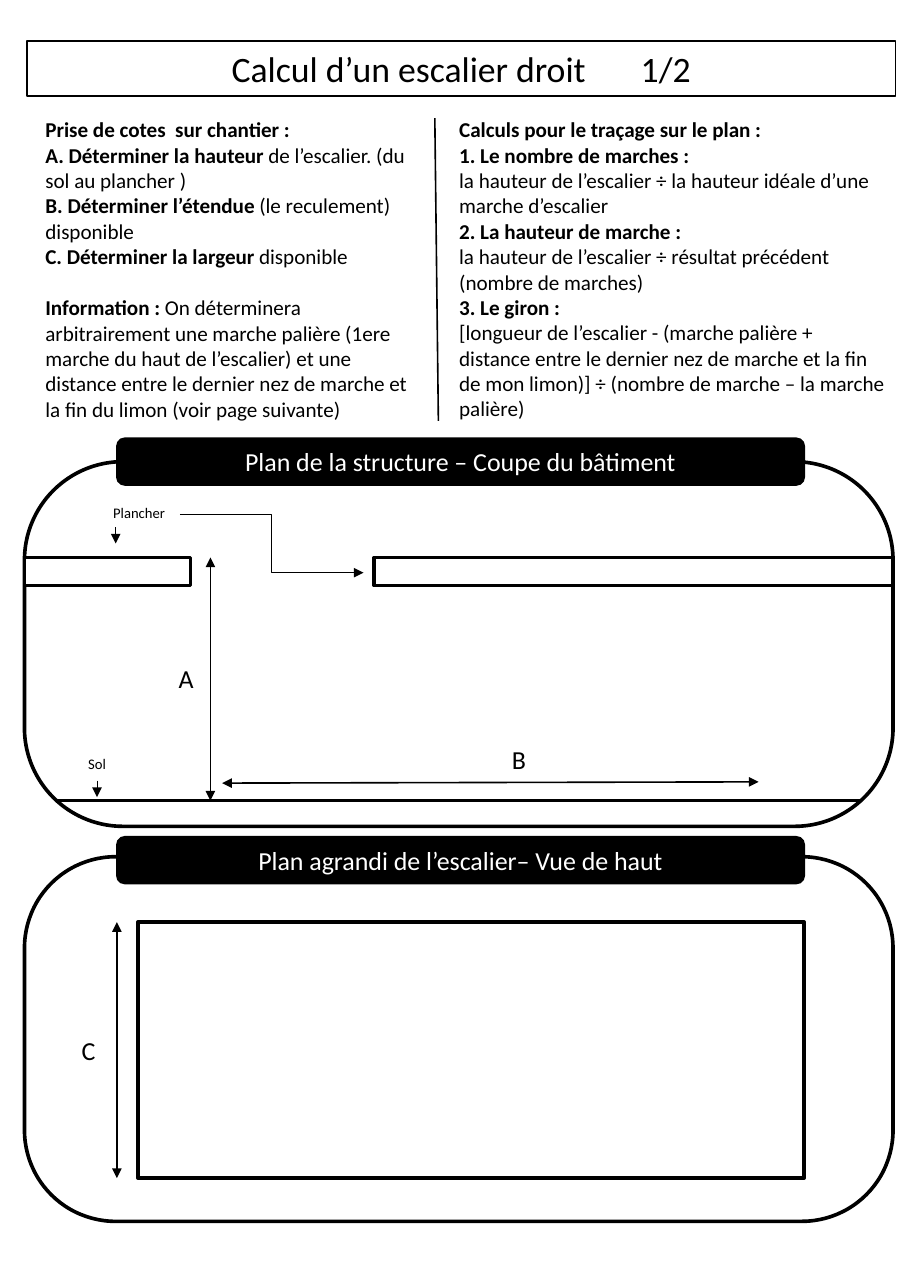
import dataclasses

import lxml.etree
import pptx
import pptx.dml.color
import pptx.enum.shapes
import pptx.enum.text
import pptx.oxml.ns
import pptx.util

PX = 9144
SHAPES = pptx.enum.shapes.MSO_SHAPE
CONNECTORS = pptx.enum.shapes.MSO_CONNECTOR
ALIGN = pptx.enum.text.PP_ALIGN
ANCHOR = pptx.enum.text.MSO_ANCHOR


@dataclasses.dataclass(frozen=True)
class Theme:
    font: str = "Calibri"
    ink: str = "000000"
    paper: str = "FFFFFF"
    title: int = 22
    heading: int = 16
    body: int = 13
    label: int = 9
    thick: float = 2.25
    thin: float = 1
    hair: float = 0.5


THEME = Theme()

SITE_NOTES = [
    ("Prise de cotes  sur chantier :", ""),
    ("A. Déterminer la hauteur ", "de l’escalier. (du sol au plancher )"),
    ("B. Déterminer l’étendue ", "(le reculement) disponible"),
    ("C. Déterminer la largeur ", "disponible"),
    ("Information : ", "On déterminera arbitrairement une marche palière (1ere marche du haut "
     "de l’escalier) et une distance entre le dernier nez de marche et la fin du limon "
     "(voir page suivante)"),
]
PLAN_NOTES = [
    ("Calculs pour le traçage sur le plan :", ""),
    ("1. Le nombre de marches :", ""),
    ("", "la hauteur de l’escalier ÷ la hauteur idéale d’une marche d’escalier"),
    ("2. La hauteur de marche :", ""),
    ("", "la hauteur de l’escalier ÷ résultat précédent (nombre de marches)"),
    ("3. Le giron :", ""),
    ("", "[longueur de l’escalier - (marche palière + distance entre le dernier nez de marche "
     "et la fin de mon limon)] ÷ (nombre de marche – la marche palière)"),
]


def px(*values):
    return [pptx.util.Emu(v * PX) for v in values]


def rgb(color):
    return pptx.dml.color.RGBColor.from_string(color)


def style_run(r, size, color=THEME.ink, bold=False):
    r.font.name = THEME.font
    r.font.size = pptx.util.Pt(size)
    r.font.color.rgb = rgb(color)
    r.font.bold = bold


def write(sp, text, size, color=THEME.ink, align=ALIGN.LEFT, anchor=ANCHOR.TOP):
    tf = sp.text_frame
    tf.word_wrap = True
    tf.vertical_anchor = anchor
    p = tf.paragraphs[0]
    p.text = text
    p.alignment = align
    for r in p.runs:
        style_run(r, size, color)
    return p


def add_label(s, box, text, size=THEME.heading, align=ALIGN.LEFT):
    write(s.shapes.add_textbox(*px(*box)), text, size, align=align)


def add_notes(s, box, notes):
    tf = s.shapes.add_textbox(*px(*box)).text_frame
    tf.word_wrap = True
    for i, parts in enumerate(notes):
        p = tf.add_paragraph() if i else tf.paragraphs[0]
        for text, bold in zip(parts, (True, False)):
            if text:
                r = p.add_run()
                r.text = text
                style_run(r, THEME.body, bold=bold)
    return tf


def add_box(s, box, kind=SHAPES.RECTANGLE, fill=THEME.paper, width=THEME.thick, corner=None):
    sp = s.shapes.add_shape(kind, *px(*box))
    sp.shadow.inherit = False
    sp.fill.solid()
    sp.fill.fore_color.rgb = rgb(fill)
    sp.line.color.rgb = rgb(THEME.ink)
    sp.line.width = pptx.util.Pt(width)
    if corner is not None:
        sp.adjustments[0] = corner
    return sp


def add_line(s, ends, width=THEME.thin, arrows=(), kind=CONNECTORS.STRAIGHT):
    line = s.shapes.add_connector(kind, *px(*ends))
    line.line.color.rgb = rgb(THEME.ink)
    line.line.width = pptx.util.Pt(width)
    ln = line.line._get_or_add_ln()
    for end in arrows:
        lxml.etree.SubElement(ln, pptx.oxml.ns.qn("a:" + end), type="triangle")
    lxml.etree.SubElement(line._element.spPr, pptx.oxml.ns.qn("a:effectLst"))


def add_dimension(s, ends):
    add_line(s, ends, arrows=("headEnd", "tailEnd"))


def add_pointer(s, ends, kind=CONNECTORS.STRAIGHT):
    add_line(s, ends, THEME.hair, ("tailEnd",), kind)


def add_panel(s, top, corner, banner_top, heading):
    add_box(s, (21, top, 743, 312), SHAPES.ROUNDED_RECTANGLE, corner=corner)
    banner = add_box(s, (100, banner_top, 588, 40), SHAPES.ROUNDED_RECTANGLE,
                     THEME.ink, THEME.thin, 0.17)
    write(banner, heading, THEME.heading, THEME.paper, ALIGN.CENTER, ANCHOR.MIDDLE)


def add_title(s):
    sp = add_box(s, (23, 35, 743, 47), width=THEME.thin)
    p = write(sp, "Calcul d’un escalier droit\t1/2", THEME.title, align=ALIGN.CENTER)
    tabs = lxml.etree.SubElement(p._p.get_or_add_pPr(), pptx.oxml.ns.qn("a:tabLst"))
    for pos in px(*range(0, 400, 50)):
        lxml.etree.SubElement(tabs, pptx.oxml.ns.qn("a:tab"), pos=str(int(pos)), algn="l")


def add_instructions(s):
    site = add_notes(s, (29, 95, 344, 271), SITE_NOTES)
    site.paragraphs[-1].space_before = pptx.util.Pt(15.9)
    add_notes(s, (383, 95, 386, 271), PLAN_NOTES)
    add_line(s, (372, 101, 375, 360))


def add_section_view(s):
    add_panel(s, 395, 0.27, 375, "Plan de la structure – Coupe du bâtiment")
    for left, width in ((21, 142), (320, 444)):
        add_box(s, (left, 477, width, 24))
    add_line(s, (49, 685, 737, 685), THEME.thick)
    add_dimension(s, (180, 477, 180, 685))
    add_dimension(s, (190, 670, 649, 669))
    add_label(s, (143, 562, 37, 37), "A")
    add_label(s, (428, 631, 37, 37), "B")
    add_label(s, (87, 426, 217, 25), "Plancher", THEME.label)
    add_label(s, (59, 641, 48, 25), "Sol", THEME.label, ALIGN.CENTER)
    add_pointer(s, (99, 451, 99, 465))
    add_pointer(s, (83, 668, 83, 682))
    add_pointer(s, (154, 440, 311, 490), CONNECTORS.ELBOW)


def add_top_view(s):
    add_panel(s, 733, 0.25, 716, "Plan agrandi de l’escalier– Vue de haut")
    add_box(s, (118, 789, 570, 219))
    add_dimension(s, (100, 789, 100, 1008))
    add_label(s, (60, 880, 37, 37), "C")


def main():
    prs = pptx.Presentation()
    prs.slide_width, prs.slide_height = px(787, 1102)
    s = prs.slides.add_slide(prs.slide_layouts[6])
    add_instructions(s)
    add_section_view(s)
    add_top_view(s)
    add_title(s)
    prs.save("out.pptx")


if __name__ == "__main__":
    main()
